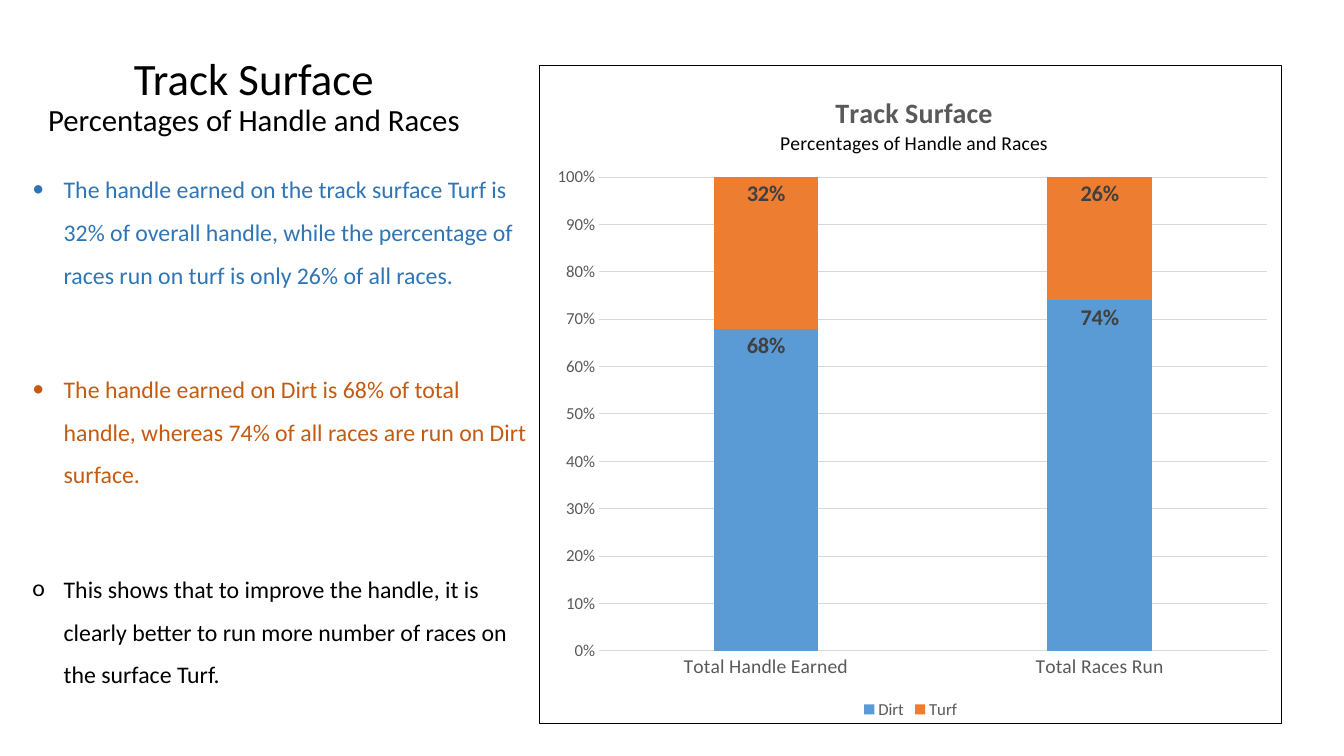
from dataclasses import dataclass

from lxml import etree
from pptx import Presentation
from pptx import util as u
from pptx.chart.data import CategoryChartData
from pptx.dml.color import RGBColor
from pptx.enum import chart as charts, text
from pptx.oxml import parse_xml
from pptx.oxml.ns import nsdecls, qn


@dataclass(frozen=True)
class Theme:
    font: str = "Calibri"
    black: str = "000000"
    white: str = "FFFFFF"
    gray: str = "595959"
    label: str = "404040"
    grid: str = "D9D9D9"
    dirt: str = "5B9BD5"
    turf: str = "ED7D31"
    blue_text: str = "2E75B6"
    orange_text: str = "C55A11"
    title: int = 32
    subtitle: int = 22
    body: int = 17
    chart_title: int = 20
    chart_label: int = 16
    category: int = 14
    small: int = 12
    line: float = 0.75


THEME = Theme()
HEADING = "Track Surface"
SUBHEADING = "Percentages of Handle and Races"
POINTS = [
    ("•", THEME.blue_text,
     "The handle earned on the track surface Turf is 32% of overall handle, "
     "while the percentage of races run on turf is only 26% of all races."),
    ("•", THEME.orange_text,
     "The handle earned on Dirt is 68% of total handle, "
     "whereas 74% of all races are run on Dirt surface."),
    ("o", THEME.black,
     "This shows that to improve the handle, it is clearly better "
     "to run more number of races on the surface Turf."),
]
SERIES = [
    ("Dirt", (0.68, 0.74), THEME.dirt),
    ("Turf", (0.32, 0.26), THEME.turf),
]


def set_values(target, values):
    for name, value in values.items():
        setattr(target, name, value)


def set_font(font, size, color, bold=False):
    set_values(font, {"name": THEME.font, "size": u.Pt(size), "bold": bold})
    font.color.rgb = RGBColor.from_string(color)


def add_run(paragraph, content, size, color, bold=False):
    run = paragraph.add_run()
    run.text = content
    set_font(run.font, size, color, bold)


def place(shape, left, top, width, height):
    set_values(shape, {"left": u.Cm(left), "top": u.Cm(top),
                       "width": u.Cm(width), "height": u.Cm(height)})


def set_line(line, color):
    line.color.rgb = RGBColor.from_string(color)
    line.width = u.Pt(THEME.line)


def add_title(slide):
    title = slide.shapes.title
    place(title, 0.56, 0, 11.68, 3.61)
    set_values(title.text_frame, {"auto_size": text.MSO_AUTO_SIZE.NONE,
                                  "vertical_anchor": text.MSO_ANCHOR.BOTTOM})
    paragraph = title.text_frame.paragraphs[0]
    set_values(paragraph, {"alignment": text.PP_ALIGN.CENTER, "line_spacing": 0.9})
    add_run(paragraph, HEADING, THEME.title, THEME.black)
    paragraph.add_line_break()
    add_run(paragraph, SUBHEADING, THEME.subtitle, THEME.black)


def set_bullet(paragraph, character):
    properties = paragraph._p.get_or_add_pPr()
    indent = u.Cm(0.79)
    properties.set("marL", str(indent))
    properties.set("indent", str(-indent))
    font = etree.SubElement(properties, qn("a:buFont"))
    font.set("typeface", THEME.font)
    etree.SubElement(properties, qn("a:buChar")).set("char", character)


def add_points(slide):
    body = slide.placeholders[1]
    place(body, 0.56, 3.91, 13.06, 15.14)
    frame = body.text_frame
    frame.auto_size = text.MSO_AUTO_SIZE.NONE
    for index, (bullet, color, content) in enumerate(POINTS):
        paragraph = frame.add_paragraph() if index else frame.paragraphs[0]
        set_bullet(paragraph, bullet)
        set_values(paragraph, {"line_spacing": 1.5, "alignment": text.PP_ALIGN.LEFT,
                               "space_before": u.Pt(51 if index else 0)})
        add_run(paragraph, content, THEME.body, color)


def set_layout(parent, index, target=None, **edges):
    layout = parent.find(qn("c:layout"))
    if layout is None:
        layout = etree.Element(qn("c:layout"))
        parent.insert(index, layout)
    manual = etree.SubElement(layout, qn("c:manualLayout"))
    values = {"layoutTarget": target} if target else {}
    values.update({"xMode": "edge", "yMode": "edge"}, **edges)
    for name, value in values.items():
        etree.SubElement(manual, qn(f"c:{name}")).set("val", str(value))


def set_border(chart):
    border = parse_xml(
        f'<c:spPr {nsdecls("c", "a")}>'
        f'<a:solidFill><a:srgbClr val="{THEME.white}"/></a:solidFill>'
        f'<a:ln w="{u.Pt(THEME.line)}"><a:solidFill>'
        f'<a:srgbClr val="{THEME.black}"/></a:solidFill></a:ln></c:spPr>')
    chart.element.find(qn("c:txPr")).addprevious(border)


def format_chart_title(chart):
    chart.has_title = True
    frame = chart.chart_title.text_frame
    add_run(frame.paragraphs[0], HEADING, THEME.chart_title, THEME.gray, True)
    add_run(frame.add_paragraph(), SUBHEADING, THEME.category, THEME.black)
    set_layout(chart.chart_title.element, 1, x=0.32, y=0.04)


def format_axes(chart):
    for axis, size in ((chart.category_axis, THEME.category),
                       (chart.value_axis, THEME.small)):
        set_values(axis, {"major_tick_mark": charts.XL_TICK_MARK.NONE,
                          "minor_tick_mark": charts.XL_TICK_MARK.NONE})
        set_font(axis.tick_labels.font, size, THEME.gray)
    set_line(chart.category_axis.format.line, THEME.grid)
    value_axis = chart.value_axis
    value_axis.format.line.fill.background()
    set_line(value_axis.major_gridlines.format.line, THEME.grid)
    set_values(value_axis.tick_labels, {"number_format": "0%",
                                        "number_format_is_linked": False})


def format_series(plot):
    set_values(plot, {"gap_width": 219, "overlap": 100, "vary_by_categories": False})
    for series, (_, _, color) in zip(plot.series, SERIES):
        series.format.fill.solid()
        series.format.fill.fore_color.rgb = RGBColor.from_string(color)
        labels = series.data_labels
        set_values(labels, {"show_value": True, "number_format": "0%",
                            "number_format_is_linked": False,
                            "position": charts.XL_LABEL_POSITION.INSIDE_END})
        set_font(labels.font, THEME.chart_label, THEME.label, True)


def add_surface_chart(slide):
    data = CategoryChartData(number_format="0%")
    data.categories = ["Total Handle Earned", "Total Races Run"]
    for name, values, _ in SERIES:
        data.add_series(name, values)
    chart = slide.shapes.add_chart(
        charts.XL_CHART_TYPE.COLUMN_STACKED_100,
        u.Cm(13.59), u.Cm(1.63), u.Cm(18.72), u.Cm(16.61), data).chart
    set_font(chart.font, THEME.small, THEME.black)
    set_border(chart)
    format_chart_title(chart)
    format_axes(chart)
    format_series(chart.plots[0])
    chart.has_legend = True
    set_values(chart.legend, {"position": charts.XL_LEGEND_POSITION.BOTTOM,
                              "include_in_layout": False})
    set_font(chart.legend.font, THEME.small, THEME.gray)
    plot_area = chart.element.find(".//" + qn("c:plotArea"))
    set_layout(plot_area, 0, "inner", x=0.08, y=0.17, w=0.9, h=0.72)


def main():
    presentation = Presentation()
    set_values(presentation, {"slide_width": u.Cm(33.87), "slide_height": u.Cm(19.05)})
    slide = presentation.slides.add_slide(presentation.slide_layouts[1])
    add_title(slide)
    add_points(slide)
    add_surface_chart(slide)
    presentation.save("out.pptx")


if __name__ == "__main__":
    main()
